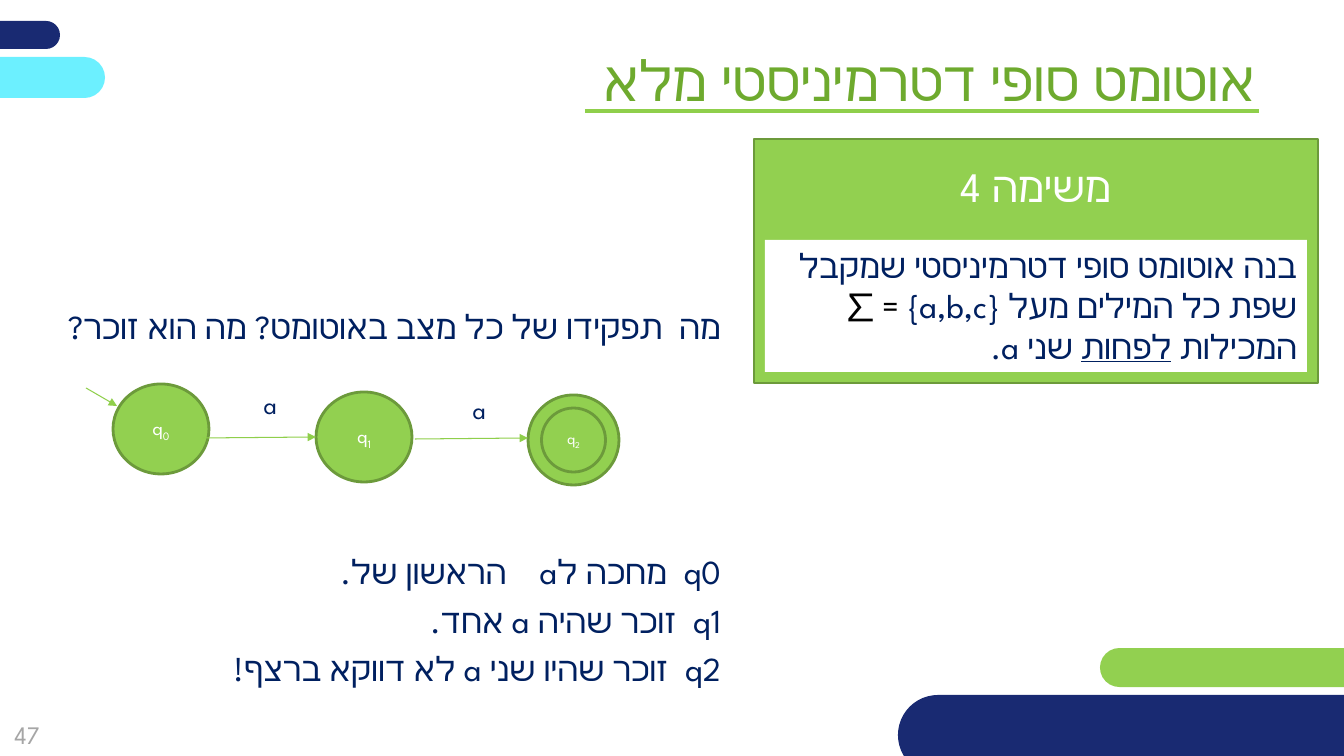
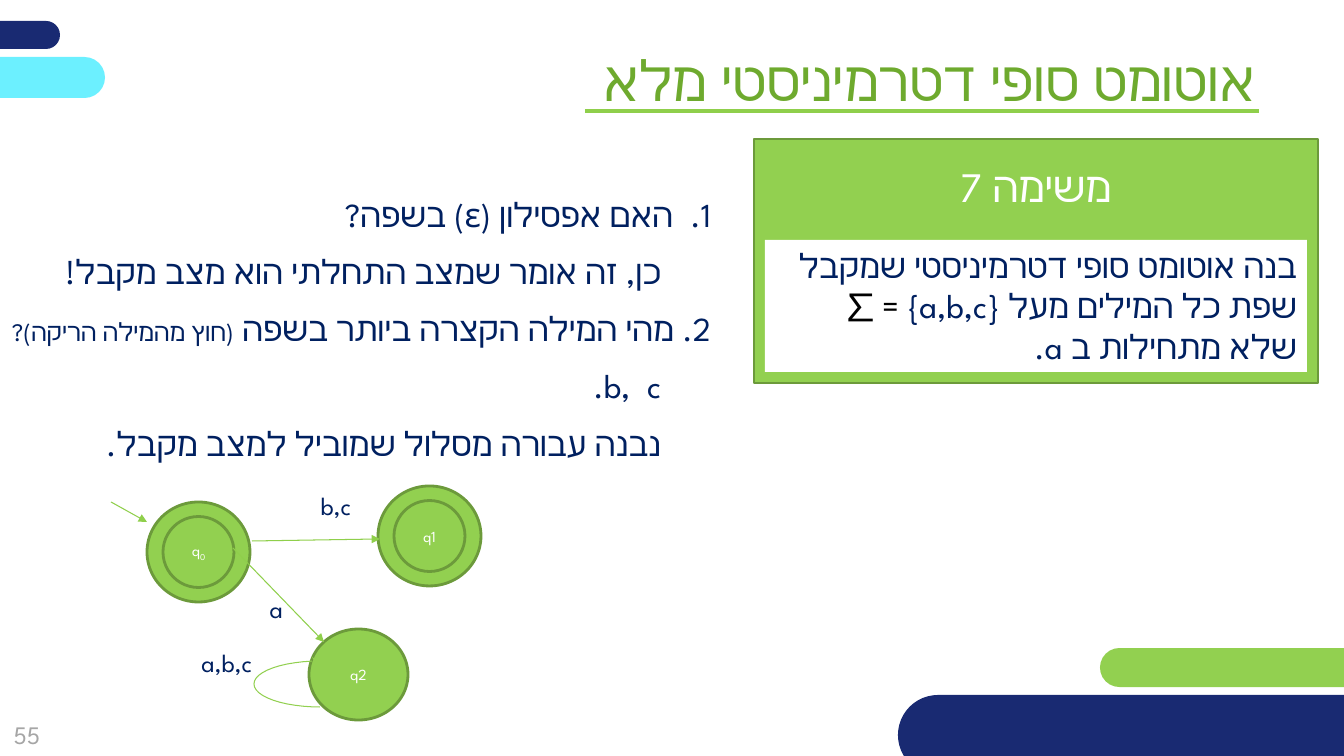
from math import cos, pi, sin

from lxml.etree import SubElement
from pptx import Presentation
from pptx.dml.color import RGBColor
from pptx.enum.shapes import MSO_CONNECTOR, MSO_SHAPE
from pptx.enum.text import MSO_ANCHOR, MSO_AUTO_SIZE, PP_ALIGN
from pptx.oxml.ns import qn
from pptx.util import Emu, Pt

WIDTH, HEIGHT = 1344, 756
FONT = "League Spartan"
COLORS = {
    "navy": "192A72", "green": "92D050", "cyan": "6CF0FF", "outline": "6C9A3B",
    "line": "8FCF4B", "title": "6EAA2E", "text": "002060", "number": "A6A6A6",
    "white": "FFFFFF", "black": "000000",
}
BANDS = [
    ((-268, 21, 328, 28), "navy"),
    ((1100, 648, 525, 39), "green"),
    ((-223, 57, 328, 41), "cyan"),
    ((898, 695, 571, 80), "navy"),
]
TITLE = "אוטומט סופי דטרמיניסטי מלא"
TITLE_BOX = (444, 41, 822, 78)
TITLE_RULE = ((585, 111), (1259, 111))
CARD_BOX = (754, 139, 564, 244)
TASK_BOX = (765, 240, 542, 132)
NUMBER_BOX = (0, 716, 54, 36)
ALPHABET = "בנה אוטומט סופי דטרמיניסטי שמקבל שפת כל המילים מעל {a,b,c} "
INNER_RATIO = 0.71

# A run is (text, changes); a paragraph is (runs, paragraph settings).
# A state is (name, subscript, box, accepting, text size).
PAGES = [
    {
        "number": "47",
        "heading": "משימה 4",
        "task": [(ALPHABET, {}), ("= ∑ ", {"color": "black"}), ("המכילות ", {}),
                 ("לפחות", {"underline": True}), (" שני a.", {})],
        "body_box": (33, 301, 698, 400),
        "body_align": PP_ALIGN.JUSTIFY,
        "body_gap": 6,
        "body": [
            ([("מה  תפקידו של כל מצב באוטומט? מה הוא זוכר?", {})], {}),
            ([("q0  מחכה לa    הראשון של.", {})], {"before": 140}),
            ([("q1  זוכר שהיה a אחד.", {})], {}),
            ([("q2  זוכר שהיו שני a לא דווקא ברצף!", {})], {}),
        ],
        "states": [
            ("q", "0", (113, 384, 96, 90), False, 14),
            ("q", "1", (316, 392, 96, 90), False, 14),
            ("q", "2", (528, 395, 91, 90), True, 11),
        ],
        "arrows": [((86, 388), (117, 406)), ((203, 438), (316, 437)),
                   ((415, 439), (528, 438))],
        "labels": [("a", (242, 384, 45, 51)), ("a", (436, 389, 60, 51))],
        "loops": [],
    },
    {
        "number": "55",
        "heading": "משימה 7",
        "task": [(ALPHABET, {}), ("= ∑", {"color": "black"}),
                 (" שלא מתחילות ב a.", {})],
        "body_box": (0, 189, 721, 313),
        "body_align": PP_ALIGN.RIGHT,
        "body_gap": 12,
        "body": [
            ([("האם אפסילון (ε) בשפה?", {})], {"margin": 38, "numbered": True}),
            ([("כן, זה אומר שמצב התחלתי הוא מצב מקבל!", {})],
             {"level": 1, "margin": 50}),
            ([("2. מהי המילה הקצרה ביותר בשפה ", {}),
              ("(חוץ מהמילה הריקה)?", {"size": 18})], {}),
            ([("b,  c.", {})], {"level": 1, "margin": 50}),
            ([("נבנה עבורה מסלול שמוביל למצב מקבל.", {})],
             {"level": 1, "margin": 50}),
        ],
        "states": [
            ("q", "0", (147, 502, 103, 100), True, 11),
            ("q1", "", (378, 486, 103, 100), True, 11),
            ("q2", "", (309, 629, 99, 91), False, 11),
        ],
        "arrows": [((111, 502), (147, 522)), ((252, 541), (380, 539)),
                   ((233, 548), (324, 642))],
        "labels": [("a", (242, 588, 51, 57)), ("a,b,c", (111, 642, 151, 57)),
                   ("b,c", (210, 485, 151, 57))],
        "loops": [((320, 684), 66, 23)],
    },
]


def px(value):
    return Emu(round(value * 12192000 / WIDTH))


def rgb(name):
    return RGBColor.from_string(COLORS[name])


def place(shape, box):
    shape.left, shape.top, shape.width, shape.height = map(px, box)


def set_frame(frame, anchor=MSO_ANCHOR.TOP, insets=(10, 5)):
    frame.word_wrap = True
    frame.auto_size = MSO_AUTO_SIZE.NONE
    frame.vertical_anchor = anchor
    frame.margin_left = frame.margin_right = px(insets[0])
    frame.margin_top = frame.margin_bottom = px(insets[1])


def format_run(span, size, color, underline=None, baseline=None):
    span.font.size = Pt(size)
    span.font.name = FONT
    span.font.color.rgb = rgb(color)
    span.font.underline = underline
    properties = span.font._element
    SubElement(properties, qn("a:cs")).set("typeface", FONT)
    if baseline:
        properties.set("baseline", str(baseline))


def write(para, runs, size, color, align=PP_ALIGN.RIGHT, rtl=True):
    para.alignment = align
    if rtl:
        para._p.get_or_add_pPr().set("rtl", "1")
    for text, changes in runs:
        span = para.add_run()
        span.text = text
        format_run(span, **{"size": size, "color": color, **changes})


def add_shape(page, kind, box, fill, outline=None):
    shape = page.shapes.add_shape(kind, *map(px, box))
    shape.shadow.inherit = False
    shape.fill.solid()
    shape.fill.fore_color.rgb = rgb(fill)
    if outline:
        shape.line.color.rgb = rgb(outline)
        shape.line.width = Pt(2)
    else:
        shape.line.fill.background()
    return shape


def add_text(page, text, box, color, **options):
    label = page.shapes.add_textbox(*map(px, box))
    set_frame(label.text_frame)
    write(label.text_frame.paragraphs[0], [(text, {})], 18, color, **options)
    return label


def add_line(page, start, end, width=0.75, arrow=True):
    line = page.shapes.add_connector(
        MSO_CONNECTOR.STRAIGHT, *map(px, (*start, *end)))
    line.line.color.rgb = rgb("line")
    line.line.width = Pt(width)
    if arrow:
        SubElement(line.line._get_or_add_ln(), qn("a:tailEnd")).set("type", "triangle")
    SubElement(line.element.spPr, qn("a:effectLst"))
    return line


def add_loop(page, center, radius_x, radius_y, steps=24):
    """Draw the left half of an ellipse, with the arrowhead at its upper end."""
    angles = [-pi / 2 - pi * step / steps for step in range(steps + 1)]
    points = [(px(center[0] + radius_x * cos(angle)),
               px(center[1] + radius_y * sin(angle))) for angle in angles]
    builder = page.shapes.build_freeform(*points[0])
    builder.add_line_segments(points[1:], close=False)
    loop = builder.convert_to_shape()
    loop.shadow.inherit = False
    loop.fill.background()
    loop.line.color.rgb = rgb("green")
    loop.line.width = Pt(0.75)
    SubElement(loop.line._get_or_add_ln(), qn("a:headEnd")).set("type", "stealth")


def add_state(page, name, subscript, box, accepting, size):
    state = add_shape(page, MSO_SHAPE.OVAL, box, "green", "outline")
    if accepting:
        left, top, width, height = box
        inner = round(height * INNER_RATIO)
        inner_box = (left + (width - inner) / 2, top + (height - inner) / 2, inner, inner)
        state = add_shape(page, MSO_SHAPE.OVAL, inner_box, "green", "outline")
    set_frame(state.text_frame, MSO_ANCHOR.MIDDLE, (0, 0))
    runs = [(name, {})]
    if subscript:
        runs.append((subscript, {"baseline": -25000}))
    write(state.text_frame.paragraphs[0], runs, size, "white", PP_ALIGN.CENTER)


def add_title(page):
    title = page.shapes.title
    place(title, TITLE_BOX)
    set_frame(title.text_frame)
    write(title.text_frame.paragraphs[0], [(TITLE, {})], 40, "title")


def add_card(page, heading, task):
    card = add_shape(page, MSO_SHAPE.RECTANGLE, CARD_BOX, "green", "outline")
    set_frame(card.text_frame, insets=(10, 22))
    write(card.text_frame.paragraphs[0], [(heading, {})], 30, "white", PP_ALIGN.CENTER)
    panel = add_shape(page, MSO_SHAPE.RECTANGLE, TASK_BOX, "white")
    set_frame(panel.text_frame)
    write(panel.text_frame.paragraphs[0], task, 24, "text")


def fill_body(page, content):
    body = page.placeholders[1]
    place(body, content["body_box"])
    frame = body.text_frame
    set_frame(frame)
    for index, (runs, settings) in enumerate(content["body"]):
        para = frame.add_paragraph() if index else frame.paragraphs[0]
        write(para, runs, 24, "text", content["body_align"])
        para.level = settings.get("level", 0)
        para.space_before = Pt(settings.get("before", 0))
        para.space_after = Pt(content["body_gap"])
        properties = para._p.get_or_add_pPr()
        margin = px(settings.get("margin", 0))
        numbered = settings.get("numbered", False)
        properties.set("marL", str(margin))
        properties.set("indent", str(-margin if numbered else 0))
        if numbered:
            SubElement(properties, qn("a:buFont")).set("typeface", FONT)
            SubElement(properties, qn("a:buAutoNum")).set("type", "arabicPeriod")
        else:
            SubElement(properties, qn("a:buNone"))


def decorate_layout(layout, page):
    """Draw the shared bands and title rule, then move them to the layout."""
    parts = []
    for box, color in BANDS:
        band = add_shape(page, MSO_SHAPE.ROUNDED_RECTANGLE, box, color)
        band.adjustments[0] = 0.5
        parts.append(band)
    parts.append(add_line(page, *TITLE_RULE, width=2.25, arrow=False))
    for part in parts:
        layout.shapes.element.append(part.element)


def build_page(page, content):
    add_title(page)
    fill_body(page, content)
    add_card(page, content["heading"], content["task"])
    for state in content["states"]:
        add_state(page, *state)
    for start, end in content["arrows"]:
        add_line(page, start, end)
    for loop in content["loops"]:
        add_loop(page, *loop)
    for text, box in content["labels"]:
        add_text(page, text, box, "text")
    number = add_text(page, content["number"], NUMBER_BOX, "number",
                      align=PP_ALIGN.CENTER, rtl=False)
    set_frame(number.text_frame, MSO_ANCHOR.MIDDLE, (0, 0))


def main():
    deck = Presentation()
    deck.slide_width, deck.slide_height = px(WIDTH), px(HEIGHT)
    layout = deck.slide_layouts[1]
    pages = [deck.slides.add_slide(layout) for _ in PAGES]
    decorate_layout(layout, pages[0])
    for page, content in zip(pages, PAGES):
        build_page(page, content)
    deck.save("out.pptx")


if __name__ == "__main__":
    main()
